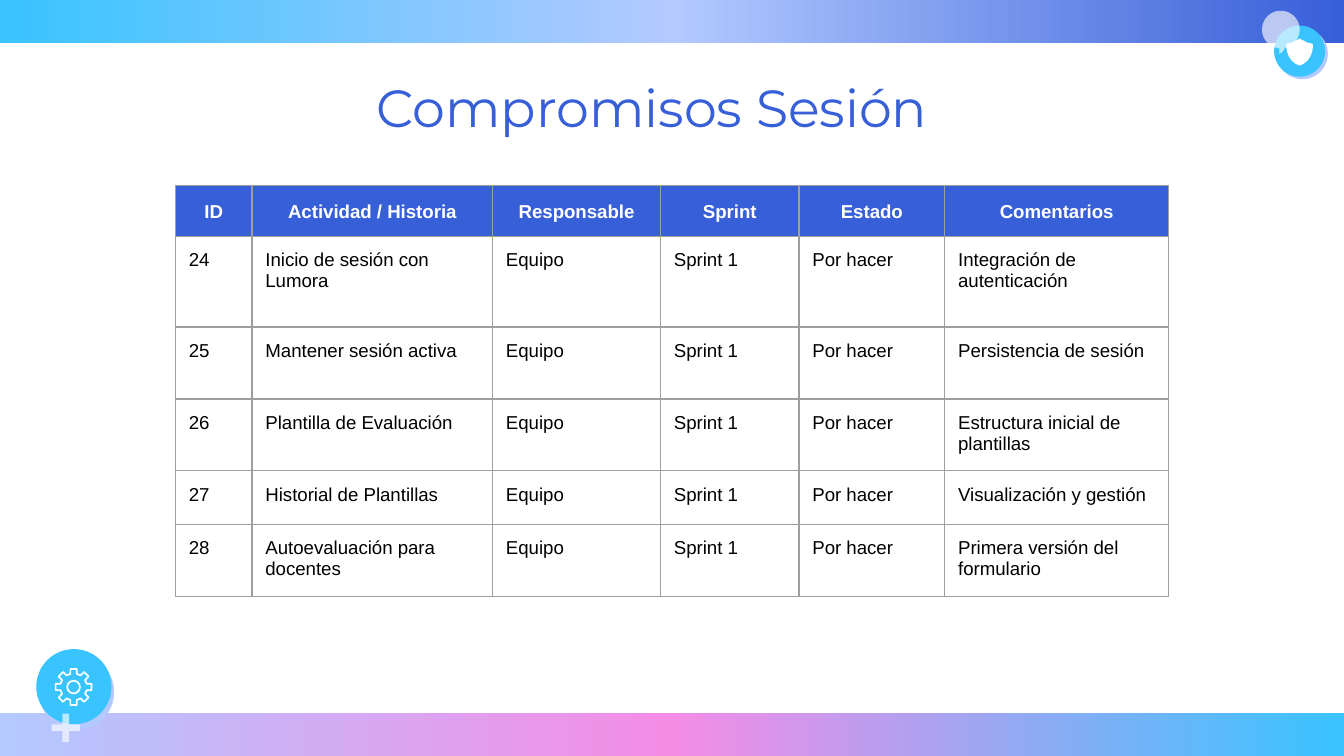
from copy import deepcopy
from math import cos, radians, sin
from lxml.etree import SubElement
from pptx import Presentation
from pptx.dml.color import RGBColor
from pptx.enum.shapes import MSO_SHAPE
from pptx.enum.text import MSO_ANCHOR, MSO_AUTO_SIZE, PP_ALIGN
from pptx.oxml.ns import qn
from pptx.util import Inches, Pt

BLUE, SKY, LILAC, PINK = "375FD8", "39C4FF", "B3C9FF", "F48CE6"
WHITE, BLACK, GRAY = "FFFFFF", "000000", "9E9E9E"


def tint(code):
    return RGBColor.from_string(code)


def paint(shape, code, alpha=100):
    shape.shadow.inherit = False
    shape.line.fill.background()
    shape.fill.solid()
    shape.fill.fore_color.rgb = tint(code)
    if alpha < 100:
        color = shape.fill._xPr.find(".//" + qn("a:srgbClr"))
        SubElement(color, qn("a:alpha")).set("val", str(alpha * 1000))


deck = Presentation()
deck.slide_width = Inches(10)
deck.slide_height = deck.slide_width * 9 // 16
unit = deck.slide_width / 100
rows = deck.slide_height / unit
slide = deck.slides.add_slide(deck.slide_layouts[5])
shapes = slide.shapes

for top, codes in [(rows - 3.2, (LILAC, PINK, SKY)), (0, (SKY, LILAC, BLUE))]:
    bar = shapes.add_shape(MSO_SHAPE.RECTANGLE, 0, int(top * unit),
                           deck.slide_width, int(3.2 * unit))
    paint(bar, WHITE)
    bar.fill.gradient()
    bar.fill.gradient_angle = 0
    stops = bar.fill._xPr.find(".//" + qn("a:gsLst"))
    stops.insert(1, deepcopy(stops[0]))
    for stop, code, place in zip(bar.fill.gradient_stops, codes, (0, 0.5, 1)):
        stop.color.rgb = tint(code)
        stop.position = place

marks = [
    (MSO_SHAPE.OVAL, 2.9, 48.7, 5.6, 5.6, LILAC, 100),
    (MSO_SHAPE.OVAL, 2.7, 48.3, 5.6, 5.6, SKY, 100),
    (MSO_SHAPE.CROSS, 3.85, 53.1, 2.1, 2.1, WHITE, 64),
    (MSO_SHAPE.OVAL, 95, 2.1, 3.8, 3.8, LILAC, 100),
    (MSO_SHAPE.OVAL, 94.8, 1.9, 3.8, 3.8, SKY, 100),
    (MSO_SHAPE.OVAL, 5, 50.65, 0.95, 0.95, SKY, 100),
]
for kind, *spot, code, alpha in marks:
    mark = shapes.add_shape(kind, *[int(n * unit) for n in spot])
    paint(mark, code, alpha)
    if kind == MSO_SHAPE.CROSS:
        mark.adjustments[0] = 0.38
hub = mark
hub.line.color.rgb = tint(WHITE)
hub.line.width = Pt(0.9)

gear = []
for tooth in range(8):
    for turn, size in [(-14, 1), (-10, 1.36), (10, 1.36), (14, 1)]:
        angle = radians(45 * tooth + turn - 90)
        gear.append((5.48 + size * cos(angle), 51.12 + size * sin(angle)))

half = [(0, 2.88), (0.25, 3), (0.6, 3.18), (0.95, 3.25), (1, 3.4), (0.95, 3.8),
        (0.8, 4.2), (0.6, 4.5), (0.3, 4.75), (0, 4.88)]
shield = [(96.7 + x, y) for x, y in half]
shield += [(96.7 - x, y) for x, y in half[-2:0:-1]]

bubble = [(95.3 + 1.4 * cos(radians(a)), 2.2 + 1.4 * sin(radians(a)))
          for a in range(78, -267, -8)]
bubble += [(95.2, 4), (95.45, 3.85)]

for dots, code, alpha in [(gear, SKY, 100), (shield, WHITE, 100), (bubble, WHITE, 64)]:
    dots = [(x * unit, y * unit) for x, y in dots]
    pen = shapes.build_freeform(*dots[0])
    pen.add_line_segments(dots[1:], close=True)
    form = pen.convert_to_shape()
    paint(form, code, alpha)
    if code == SKY:
        form.line.color.rgb = tint(WHITE)
        form.line.width = Pt(0.9)
        form._element.addnext(hub._element)

data = [
    ("ID", "Actividad / Historia", "Responsable", "Sprint", "Estado", "Comentarios"),
    ("24", "Inicio de sesión con Lumora", "Integración de autenticación"),
    ("25", "Mantener sesión activa", "Persistencia de sesión"),
    ("26", "Plantilla de Evaluación", "Estructura inicial de plantillas"),
    ("27", "Historial de Plantillas", "Visualización y gestión"),
    ("28", "Autoevaluación para docentes", "Primera versión del formulario"),
]
wide = [5.7, 17.9, 12.5, 10.3, 10.85, 16.65]
tall = [3.5, 6.75, 5.35, 5.35, 4, 5.35]
spot = (13.05, 13.8, sum(wide), sum(tall))
grid = shapes.add_table(len(tall), len(wide), *[int(n * unit) for n in spot]).table
grid.horz_banding = False
for col, size in zip(grid.columns, wide):
    col.width = int(size * unit)
for row, size in zip(grid.rows, tall):
    row.height = int(size * unit)

inset = {"margin_" + side: int(unit) for side in ("left", "right", "top", "bottom")}
for i, line in enumerate(data):
    head = i == 0
    texts = line if head else (*line[:2], "Equipo", "Sprint 1", "Por hacer", line[2])
    for cell, text in zip(grid.rows[i].cells, texts):
        cell.text = text
        for name, value in inset.items():
            setattr(cell, name, value)
        para = cell.text_frame.paragraphs[0]
        para.alignment = PP_ALIGN.CENTER if head else PP_ALIGN.LEFT
        para.line_spacing = 1.15 if head else 1.0
        font = para.runs[0].font
        for name, value in {"name": "Arial", "size": Pt(10), "bold": head}.items():
            setattr(font, name, value)
        font.color.rgb = tint(WHITE if head else BLACK)
        props = cell._tc.get_or_add_tcPr()
        for side in "LRTB":
            edge = SubElement(props, qn("a:ln" + side), w=str(Pt(0.75)))
            fill = SubElement(edge, qn("a:solidFill"))
            SubElement(fill, qn("a:srgbClr"), val=GRAY)
        if head:
            cell.fill.solid()
            cell.fill.fore_color.rgb = tint(BLUE)
        else:
            cell.fill.background()

title = shapes.title
place = {"left": 27, "top": 4.6, "width": 46, "height": 6.4}
for name, value in place.items():
    setattr(title, name, int(value * unit))
frame = title.text_frame
frame.text = "Compromisos Sesión"
style = {**inset, "word_wrap": True, "auto_size": MSO_AUTO_SIZE.NONE,
         "vertical_anchor": MSO_ANCHOR.TOP}
for name, value in style.items():
    setattr(frame, name, value)
para = frame.paragraphs[0]
para.alignment = PP_ALIGN.LEFT
font = para.runs[0].font
for name, value in {"name": "Montserrat", "size": Pt(28)}.items():
    setattr(font, name, value)
font.color.rgb = tint(BLUE)

deck.save("out.pptx")
